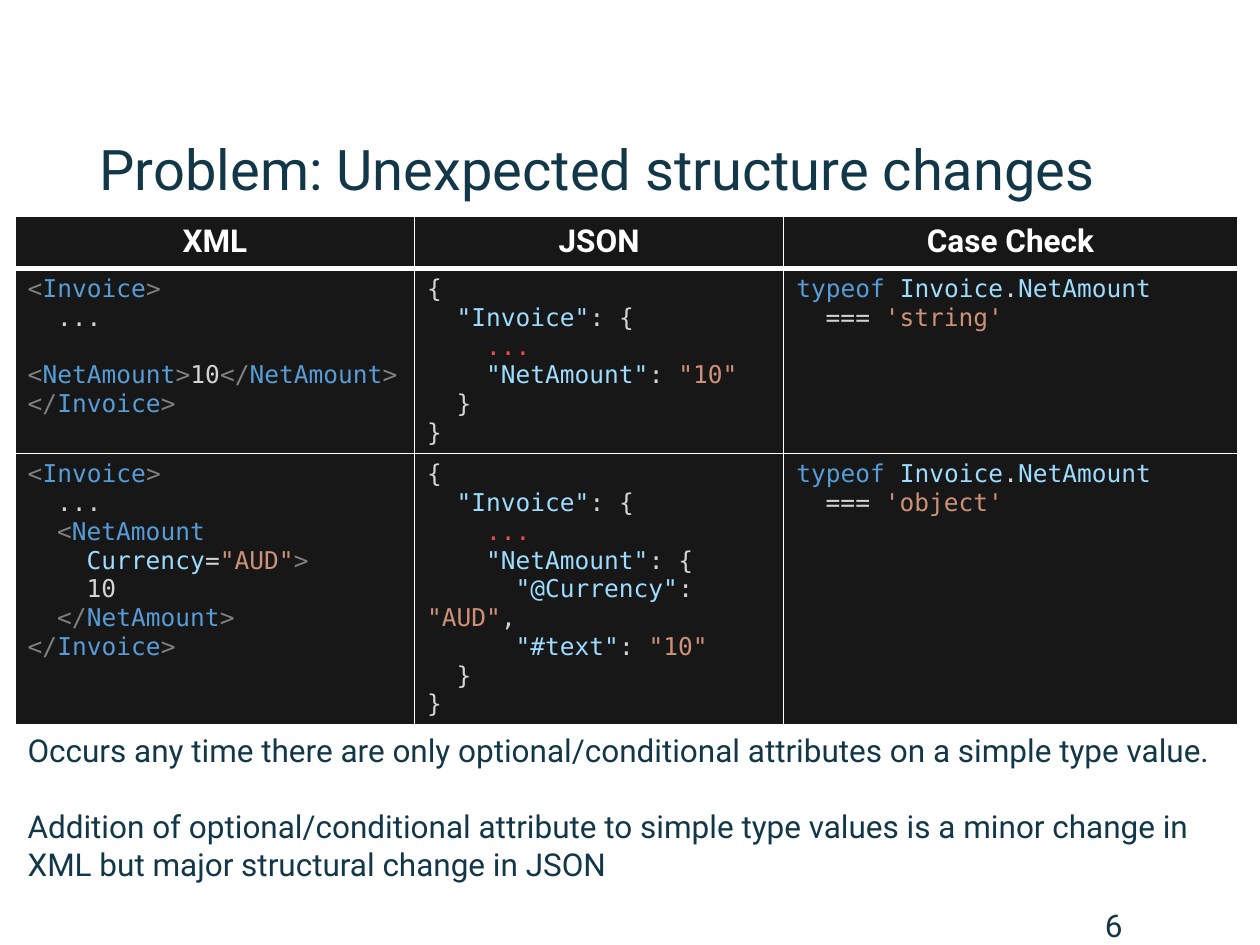
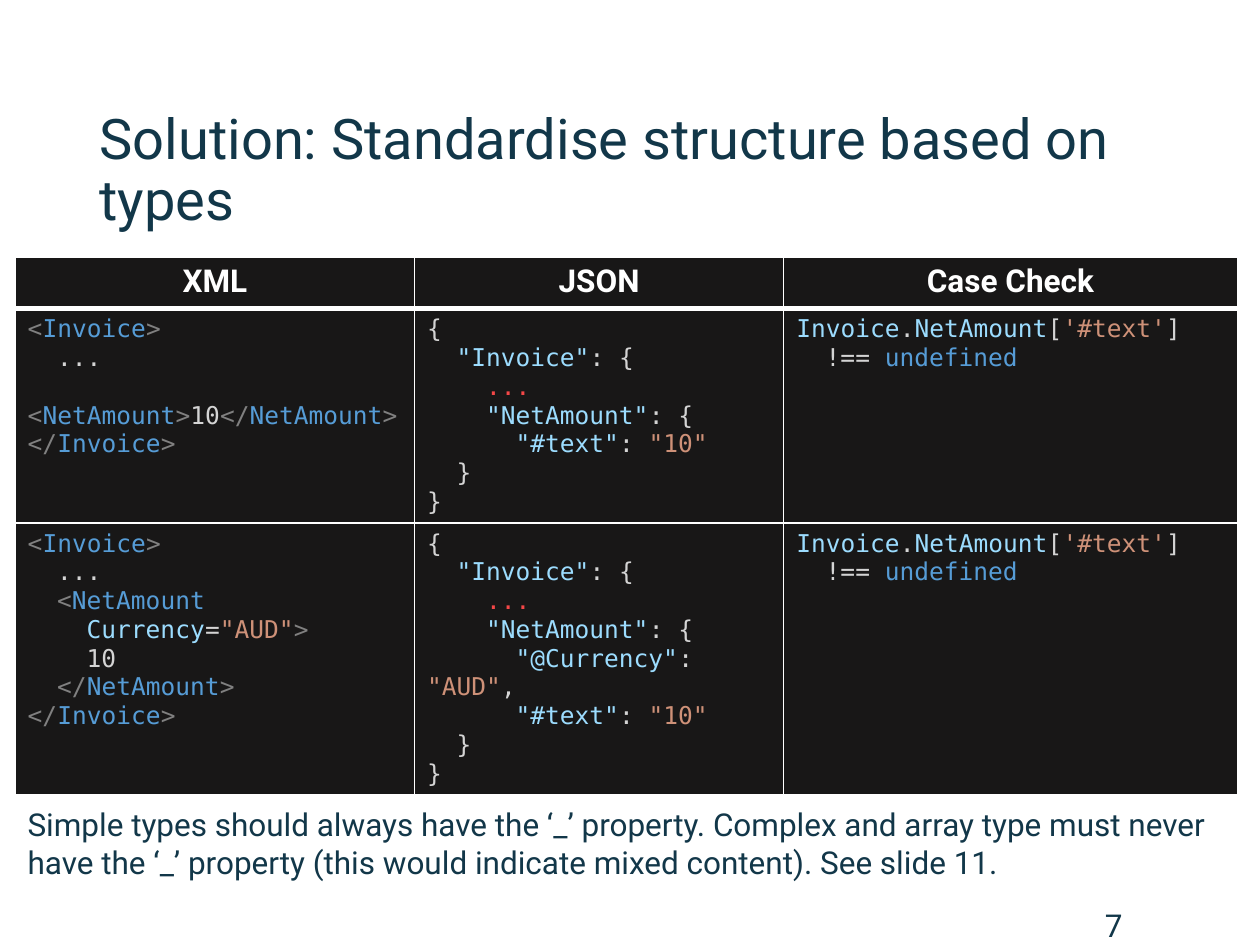
import pptx
import pptx.dml.color
import pptx.enum.text
import pptx.oxml.ns
import pptx.util
from lxml import etree
from pptx.util import Inches

COLORS = {
    "ink": "123749",
    "white": "FFFFFF",
    "panel": "181717",
    "punct": "808080",
    "tag": "569CD6",
    "plain": "D4D4D4",
    "key": "9CDCFE",
    "value": "CE9178",
    "error": "F44747",
}
FONT = "Roboto"
CODE_FONT = "DejaVu Sans Mono"
CODE_SIZE = 14
CHAR_WIDTH = 0.117
CODE_LINE = 16.4
LEFT, WIDTH = 0.12, 9.71
HEADERS = ["XML", "JSON", "Case Check"]
COLUMNS = [3.17, 2.93, 3.6]
HEADER_HEIGHT = 0.41
OWN_LINE = -1  # a long line that starts one row lower, at the left edge


# A code line is (indent in characters, [(color name, text), ...]).
def tag(name, start="<", end=">"):
    return [("punct", start), ("tag", name), ("punct", end)]


def key(name, after):
    return [("key", f'"{name}"'), ("plain", after)]


def plain(text):
    return [("plain", text)]


def xml_invoice(*lines):
    return [(0, tag("Invoice")), (2, plain("...")), *lines,
            (0, tag("Invoice", "</"))]


def json_invoice(*lines):
    return [(0, plain("{")), (2, key("Invoice", ": {")),
            (4, [("error", "...")]), *lines,
            (2, plain("}")), (0, plain("}"))]


NET_AMOUNT = [("key", "Invoice"), ("plain", "."), ("key", "NetAmount")]
JSON_TEXT = (6, key("#text", ": ") + [("value", '"10"')])

XML_SIMPLE = xml_invoice(
    (OWN_LINE, tag("NetAmount") + plain("10") + tag("NetAmount", "</")))
XML_ATTRIBUTE = xml_invoice(
    (2, [("punct", "<"), ("tag", "NetAmount")]),
    (4, [("key", "Currency"), ("plain", "="), ("value", '"AUD"'),
         ("punct", ">")]),
    (4, plain("10")),
    (2, tag("NetAmount", "</")))
JSON_STRING = json_invoice(
    (4, key("NetAmount", ": ") + [("value", '"10"')]))
JSON_OBJECT = json_invoice((4, key("NetAmount", ": {")), JSON_TEXT)
JSON_ATTRIBUTE = json_invoice(
    (4, key("NetAmount", ": {")),
    (6, key("@Currency", ": ") + [("value", '"AUD"'), ("plain", ",")]),
    JSON_TEXT)
TEXT_CHECK = [
    (0, NET_AMOUNT + [("plain", "["), ("value", "'#text'"), ("plain", "]")]),
    (2, [("plain", "!== "), ("tag", "undefined")]),
]


def type_check(kind):
    return [(0, [("tag", "typeof ")] + NET_AMOUNT),
            (2, [("plain", "=== "), ("value", f"'{kind}'")])]


class Deck:
    def __init__(self):
        self.prs = pptx.Presentation()
        self.prs.slide_width = Inches(10)
        self.prs.slide_height = Inches(7.5)
        self.s = None

    def style(self, r, size, color, font=FONT, bold=False):
        r.font.size = pptx.util.Pt(size)
        r.font.name = font
        r.font.bold = bold
        r.font.color.rgb = pptx.dml.color.RGBColor.from_string(COLORS[color])

    def slide(self, title, width):
        self.s = self.prs.slides.add_slide(self.prs.slide_layouts[5])
        sp = self.s.shapes.title
        sp.left, sp.top = Inches(0.69), Inches(0.88)
        sp.width, sp.height = Inches(width), Inches(0.97)
        tf = sp.text_frame
        tf.text = title
        tf.auto_size = pptx.enum.text.MSO_AUTO_SIZE.NONE
        tf.vertical_anchor = pptx.enum.text.MSO_ANCHOR.MIDDLE
        p = tf.paragraphs[0]
        p.alignment = pptx.enum.text.PP_ALIGN.LEFT
        p.line_spacing = 0.9
        self.style(p.runs[0], 32, "ink")

    def text(self, left, top, width, height, paragraphs):
        sp = self.s.shapes.add_textbox(
            Inches(left), Inches(top), Inches(width), Inches(height))
        tf = sp.text_frame
        tf.word_wrap = True
        for i, text in enumerate(paragraphs):
            p = tf.add_paragraph() if i else tf.paragraphs[0]
            p.text = text
            if i:
                p.space_before = pptx.util.Pt(22)
            self.style(p.runs[0], 18, "ink")

    def page_number(self, number):
        self.text(8.67, 7.14, 1.33, 0.36, [str(number)])

    def borders(self, cell, top, bottom):
        tcPr = cell._tc.get_or_add_tcPr()
        for side, width in (("L", 1), ("R", 1), ("T", top), ("B", bottom)):
            ln = etree.SubElement(tcPr, pptx.oxml.ns.qn(f"a:ln{side}"),
                                  w=str(pptx.util.Pt(width)))
            fill = etree.SubElement(ln, pptx.oxml.ns.qn("a:solidFill"))
            etree.SubElement(fill, pptx.oxml.ns.qn("a:srgbClr"),
                             val=COLORS["white"])

    def code(self, cell, lines):
        tf = cell.text_frame
        for i, (indent, tokens) in enumerate(lines):
            p = tf.add_paragraph() if i else tf.paragraphs[0]
            if indent == OWN_LINE:
                p.space_before = pptx.util.Pt(CODE_LINE)
            elif indent:
                # Only the first line is indented, so wrapped text
                # returns to the left edge.
                pPr = p._p.get_or_add_pPr()
                pPr.set("marL", "0")
                pPr.set("indent", str(Inches(indent * CHAR_WIDTH)))
            for color, text in tokens:
                r = p.add_run()
                r.text = text
                self.style(r, CODE_SIZE, color, CODE_FONT)

    def table(self, top, row_heights, rows):
        heights = [HEADER_HEIGHT, *row_heights]
        table = self.s.shapes.add_table(
            len(heights), len(COLUMNS), Inches(LEFT), Inches(top),
            Inches(WIDTH), Inches(sum(heights))).table
        for column, width in zip(table.columns, COLUMNS):
            column.width = Inches(width)
        for i, height in enumerate(heights):
            table.rows[i].height = Inches(height)
            for j in range(len(COLUMNS)):
                cell = table.cell(i, j)
                self.borders(cell, 3 if i == 1 else 1, 3 if i == 0 else 1)
                cell.fill.solid()
                cell.fill.fore_color.rgb = (
                    pptx.dml.color.RGBColor.from_string(COLORS["panel"]))
                if i:
                    self.code(cell, rows[i - 1][j])
                else:
                    p = cell.text_frame.paragraphs[0]
                    p.text = HEADERS[j]
                    p.alignment = pptx.enum.text.PP_ALIGN.CENTER
                    self.style(p.runs[0], 18, "white", bold=True)


def main():
    deck = Deck()

    deck.slide("Problem: Unexpected structure changes", 8.62)
    deck.table(1.72, [1.47, 2.15], [
        [XML_SIMPLE, JSON_STRING, type_check("string")],
        [XML_ATTRIBUTE, JSON_ATTRIBUTE, type_check("object")],
    ])
    deck.page_number(6)
    deck.text(LEFT, 5.75, WIDTH, 1.31, [
        "Occurs any time there are only optional/conditional attributes "
        "on a simple type value.",
        "Addition of optional/conditional attribute to simple type values "
        "is a minor change in XML but major structural change in JSON",
    ])

    deck.slide("Solution: Standardise structure based on types", 9.05)
    deck.table(2.04, [1.7, 2.15], [
        [XML_SIMPLE, JSON_OBJECT, TEXT_CHECK],
        [XML_ATTRIBUTE, JSON_ATTRIBUTE, TEXT_CHECK],
    ])
    deck.page_number(7)
    deck.text(LEFT, 6.34, WIDTH, 0.71, [
        "Simple types should always have the ‘_’ property. Complex and "
        "array type must never have the ‘_’ property (this would indicate "
        "mixed content). See slide 11.",
    ])

    deck.prs.save("out.pptx")


if __name__ == "__main__":
    main()
